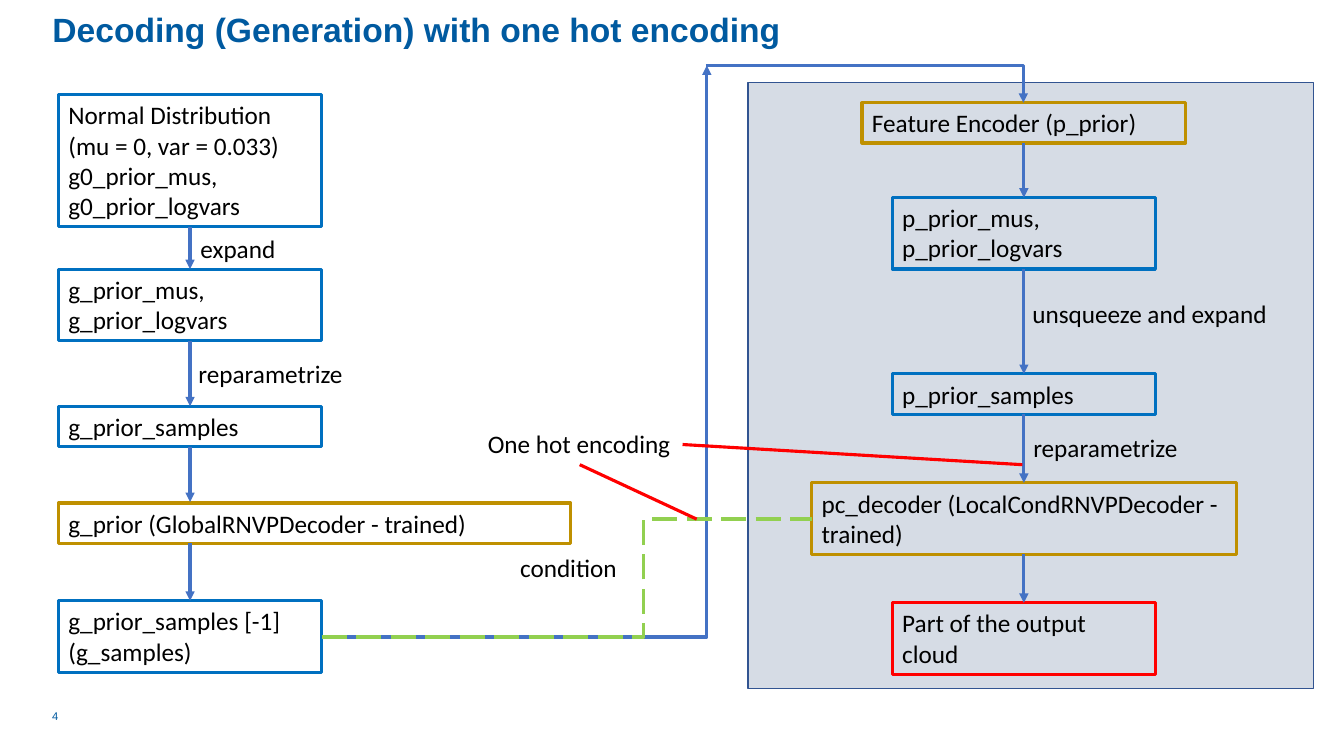
import pptx
import pptx.util
import pptx.dml.color
import pptx.enum.dml
import pptx.enum.shapes
import pptx.enum.text
import pptx.oxml
import pptx.oxml.ns
from lxml import etree

Inches = pptx.util.Inches
Pt = pptx.util.Pt
RGB = pptx.dml.color.RGBColor.from_string
CONNECTOR = pptx.enum.shapes.MSO_CONNECTOR
FIT = pptx.enum.text.MSO_AUTO_SIZE.SHAPE_TO_FIT_TEXT
qn = pptx.oxml.ns.qn

COLORS = {
    "data": "0070C0", "network": "BF9000", "output": "FF0000",
    "arrow": "4472C4", "condition": "92D050", "encoding": "FF0000",
    "panel": "D6DCE5", "panel_line": "325491", "title": "005AA0", "text": "000000",
}
BOTTOM, TOP = 2, 0

deck = pptx.Presentation()
deck.slide_width, deck.slide_height = Inches(13.33), Inches(7.5)
page = deck.slides.add_slide(deck.slide_layouts[6])


def add_text(place, lines, size=18, font="Calibri", color="text", bold=False):
    """Add a text box at (left, top, width, height) with one paragraph per line."""
    box = page.shapes.add_textbox(*[Inches(v) for v in place])
    box.text_frame.text = "\n".join(lines)
    for para in box.text_frame.paragraphs:
        para.font.size = Pt(size)
        para.font.name = font
        para.font.bold = bold
        para.font.color.rgb = RGB(COLORS[color])
    return box


def connect(start, end, color="arrow", kind=CONNECTOR.STRAIGHT, head=True, dash=None):
    """Draw a connector between two points given in inches."""
    line = page.shapes.add_connector(kind, *[Inches(v) for v in (*start, *end)])
    line.line.color.rgb = RGB(COLORS[color])
    line.line.width = Pt(2.25)
    if dash:
        line.line.dash_style = dash
    properties = line.element.spPr
    if head:
        etree.SubElement(properties.find(qn("a:ln")), qn("a:tailEnd"), type="triangle")
    etree.SubElement(properties, qn("a:effectLst"))
    return line


panel = page.shapes.add_shape(pptx.enum.shapes.MSO_SHAPE.RECTANGLE,
                              Inches(7.42), Inches(0.82), Inches(5.61), Inches(6.01))
panel.shadow.inherit = False
panel.fill.solid()
panel.fill.fore_color.rgb = RGB(COLORS["panel"])
panel.line.color.rgb = RGB(COLORS["panel_line"])
panel.line.width = Pt(1)

# Boxes: key, place, outline colour, lines
boxes = {}
for key, place, color, lines in [
    ("normal", (0.58, 0.94, 2.61, 1.31), "data",
     ["Normal Distribution (mu = 0, var = 0.033)", "g0_prior_mus, g0_prior_logvars"]),
    ("g_mus", (0.58, 2.67, 2.61, 0.71), "data", ["g_prior_mus, g_prior_logvars"]),
    ("g_samples", (0.58, 4.03, 2.61, 0.4), "data", ["g_prior_samples"]),
    ("g_prior", (0.58, 4.99, 5.08, 0.4), "network", ["g_prior (GlobalRNVPDecoder - trained)"]),
    ("g_last", (0.58, 5.96, 2.61, 0.71), "data", ["g_prior_samples [-1]", "(g_samples)"]),
    ("encoder", (8.55, 1.02, 3.21, 0.4), "network", ["Feature Encoder (p_prior)"]),
    ("p_mus", (8.85, 1.96, 2.61, 0.71), "data", ["p_prior_mus, p_prior_logvars"]),
    ("p_samples", (8.85, 3.71, 2.61, 0.4), "data", ["p_prior_samples"]),
    ("decoder", (8.05, 4.79, 4.21, 0.71), "network",
     ["pc_decoder (LocalCondRNVPDecoder - trained)"]),
    ("cloud", (8.85, 5.98, 2.61, 0.71), "output", ["Part of the output cloud"]),
]:
    box = add_text(place, lines)
    box.line.color.rgb = RGB(COLORS[color])
    box.line.width = Pt(2.25)
    box.text_frame.word_wrap = True
    box.text_frame.auto_size = FIT
    boxes[key] = box

# Vertical arrows; the wide g_prior box is met off its middle, so it is not joined
left_axis = 0.58 + 2.61 / 2
right_axis = 8.85 + 2.61 / 2
for x, y_start, y_end, upper, lower in [
    (left_axis, 2.25, 2.67, "normal", "g_mus"),
    (left_axis, 3.38, 4.03, "g_mus", "g_samples"),
    (left_axis, 4.43, 4.98, "g_samples", None),
    (left_axis, 5.39, 5.96, None, "g_last"),
    (right_axis, 1.42, 1.96, "encoder", "p_mus"),
    (right_axis, 2.67, 3.71, "p_mus", "p_samples"),
    (right_axis, 4.11, 4.79, "p_samples", "decoder"),
    (right_axis, 5.5, 5.98, "decoder", "cloud"),
]:
    arrow = connect((x, y_start), (x, y_end))
    if upper:
        arrow.begin_connect(boxes[upper], BOTTOM)
    if lower:
        arrow.end_connect(boxes[lower], TOP)

# Route from the global samples to the feature encoder, one corner per piece
for start, end in [((3.19, 6.32), (7.01, 0.65)), ((7, 0.65), (10.15, 1.02))]:
    route = connect(start, end, kind=CONNECTOR.ELBOW)
    route.element.spPr.find(qn("a:prstGeom")).set("prst", "bentConnector2")

condition = connect((3.19, 6.32), (8.05, 5.15), "condition", CONNECTOR.ELBOW, head=False,
                    dash=pptx.enum.dml.MSO_LINE.LONG_DASH)
geometry = condition.element.spPr.find(qn("a:prstGeom"))
etree.SubElement(geometry.find(qn("a:avLst")), qn("a:gd"), name="adj1", fmla="val 65700")

for start, end in [((6.77, 4.41), (10.14, 4.61)), ((5.75, 4.61), (6.91, 5.15))]:
    connect(start, end, "encoding", head=False)

for text, left, top, width in [
    ("expand", 1.89, 2.27, 1.03),
    ("reparametrize", 1.87, 3.51, 1.76),
    ("condition", 5.06, 5.43, 1.21),
    ("unsqueeze and expand", 10.14, 2.91, 2.82),
    ("reparametrize", 10.15, 4.24, 1.76),
    ("One hot encoding", 4.74, 4.2, 2.04),
]:
    label = add_text((left, top, width, 0.4), [text])
    label.text_frame.word_wrap = False
    label.text_frame.auto_size = FIT

title = add_text((0.52, 0.09, 11.51, 1.18), ["Decoding (Generation) with one hot encoding"],
                 24, "Arial", "title", bold=True)
number = add_text((0, 6.9, 0.58, 0.4), ["4"], 8, "Arial", "title")
number.text_frame.paragraphs[0].alignment = pptx.enum.text.PP_ALIGN.RIGHT
number.text_frame.vertical_anchor = pptx.enum.text.MSO_ANCHOR.MIDDLE
for box in (title, number):
    frame = box.text_frame
    frame.word_wrap = True
    frame.margin_left = frame.margin_right = frame.margin_top = frame.margin_bottom = 0

deck.save("out.pptx")
